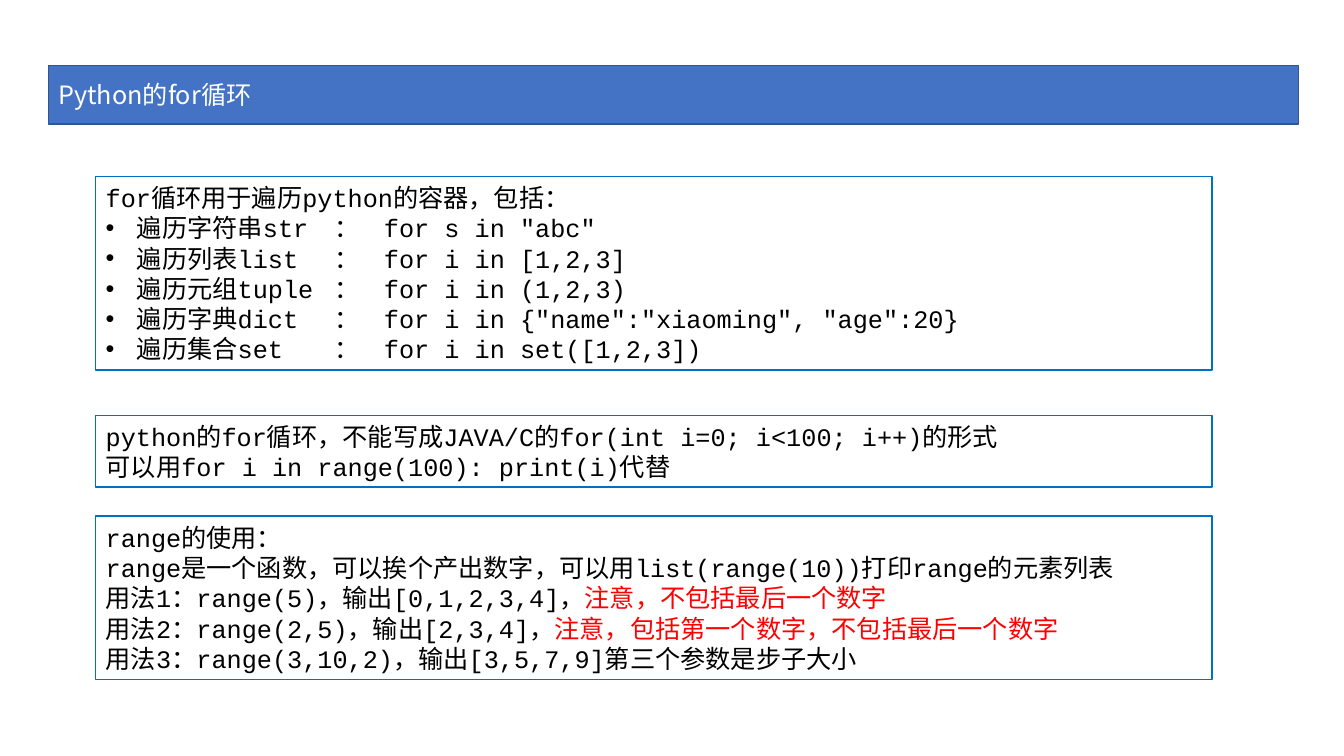
from dataclasses import dataclass

from lxml.etree import SubElement
from pptx import Presentation
from pptx.dml.color import RGBColor
from pptx.enum.shapes import MSO_SHAPE as Shape
from pptx.enum.text import MSO_ANCHOR as Anchor, MSO_AUTO_SIZE as AutoSize, PP_ALIGN as Align
from pptx.oxml.ns import qn
from pptx.util import Pt

PX = 9144  # 100 px to the inch


@dataclass(frozen=True)
class Theme:
    banner: str = "4472C4"
    banner_edge: str = "325491"
    panel: str = "FFFFFF"
    panel_edge: str = "0070C0"
    ink: str = "000000"
    light_ink: str = "FFFFFF"
    warning: str = "FF0000"
    heading_font: str = "Noto Sans CJK SC"
    code_font: str = "Courier New"
    chinese_font: str = "Noto Sans CJK SC"
    text_size: int = 18
    edge_width: int = 1


THEME = Theme()

PANEL_LEFT, PANEL_WIDTH = 95, 1107
BULLET_INDENT = 31
COLON_STOP, CODE_STOP = 227, 276

LOOP_INTRO = "for循环用于遍历python的容器，包括："
LOOPS = [
    ("字符串str", 'for s in "abc"'),
    ("列表list", "for i in [1,2,3]"),
    ("元组tuple", "for i in (1,2,3)"),
    ("字典dict", 'for i in {"name":"xiaoming", "age":20}'),
    ("集合set", "for i in set([1,2,3])"),
]
C_STYLE_NOTE = [
    "python的for循环，不能写成JAVA/C的for(int i=0; i<100; i++)的形式",
    "可以用for i in range(100): print(i)代替",
]
RANGE_INTRO = [
    "range的使用：",
    "range是一个函数，可以挨个产出数字，可以用list(range(10))打印range的元素列表",
]
RANGE_USES = [
    ("range(5)，输出[0,1,2,3,4]，", "注意，不包括最后一个数字"),
    ("range(2,5)，输出[2,3,4]，", "注意，包括第一个数字，不包括最后一个数字"),
    ("range(3,10,2)，输出[3,5,7,9]第三个参数是步子大小", ""),
]


def rgb(value):
    return RGBColor.from_string(value)


def add_box(slide, left, top, width, height, fill, edge):
    box = slide.shapes.add_shape(
        Shape.RECTANGLE, left * PX, top * PX, width * PX, height * PX)
    box.shadow.inherit = False
    box.fill.solid()
    box.fill.fore_color.rgb = rgb(fill)
    box.line.color.rgb = rgb(edge)
    box.line.width = Pt(THEME.edge_width)
    box.text_frame.word_wrap = True
    box.text_frame.vertical_anchor = Anchor.MIDDLE
    return box.text_frame


def style_run(run, font, color):
    run.font.size = Pt(THEME.text_size)
    run.font.name = font
    run.font.color.rgb = rgb(color)
    SubElement(run.font._element, qn("a:ea"), typeface=THEME.chinese_font)


def add_banner(slide, title):
    frame = add_box(slide, 48, 65, 1240, 58, THEME.banner, THEME.banner_edge)
    frame.text = title
    heading = frame.paragraphs[0]
    heading.alignment = Align.LEFT
    style_run(heading.runs[0], THEME.heading_font, THEME.light_ink)


def add_panel(slide, top, height, lines):
    """Add an outlined panel with one paragraph per line; return its paragraphs."""
    frame = add_box(slide, PANEL_LEFT, top, PANEL_WIDTH, height,
                    THEME.panel, THEME.panel_edge)
    frame.auto_size = AutoSize.SHAPE_TO_FIT_TEXT
    frame.text = "\n".join(lines)
    for line in frame.paragraphs:
        line.alignment = Align.LEFT
        style_run(line.runs[0], THEME.code_font, THEME.ink)
    return frame.paragraphs


def add_bullet(line):
    """Give the line a hanging bullet and tab stops for the colon and the code."""
    props = line._p.get_or_add_pPr()
    props.set("marL", str(BULLET_INDENT * PX))
    props.set("indent", str(-BULLET_INDENT * PX))
    SubElement(props, qn("a:buFont"), typeface="Arial")
    SubElement(props, qn("a:buChar"), char="•")
    stops = SubElement(props, qn("a:tabLst"))
    for stop in (COLON_STOP, CODE_STOP):
        SubElement(stops, qn("a:tab"), pos=str(stop * PX), algn="l")


def add_warning(line, warning):
    run = line.add_run()
    run.text = warning
    style_run(run, THEME.code_font, THEME.warning)


def main():
    deck = Presentation()
    deck.slide_width, deck.slide_height = 1333 * PX, 750 * PX
    slide = deck.slides.add_slide(deck.slide_layouts[6])

    add_banner(slide, "Python的for循环")

    loop_lines = [f"遍历{container}\t：\t{code}" for container, code in LOOPS]
    _, *loops = add_panel(slide, 175, 192, [LOOP_INTRO, *loop_lines])
    for loop in loops:
        add_bullet(loop)

    add_panel(slide, 412, 71, C_STYLE_NOTE)

    use_lines = [f"用法{number}：{use}"
                 for number, (use, _) in enumerate(RANGE_USES, start=1)]
    paragraphs = add_panel(slide, 512, 162, RANGE_INTRO + use_lines)
    uses = paragraphs[len(RANGE_INTRO):]
    for line, (_, warning) in zip(uses, RANGE_USES):
        if warning:
            add_warning(line, warning)

    deck.save("out.pptx")


if __name__ == "__main__":
    main()
